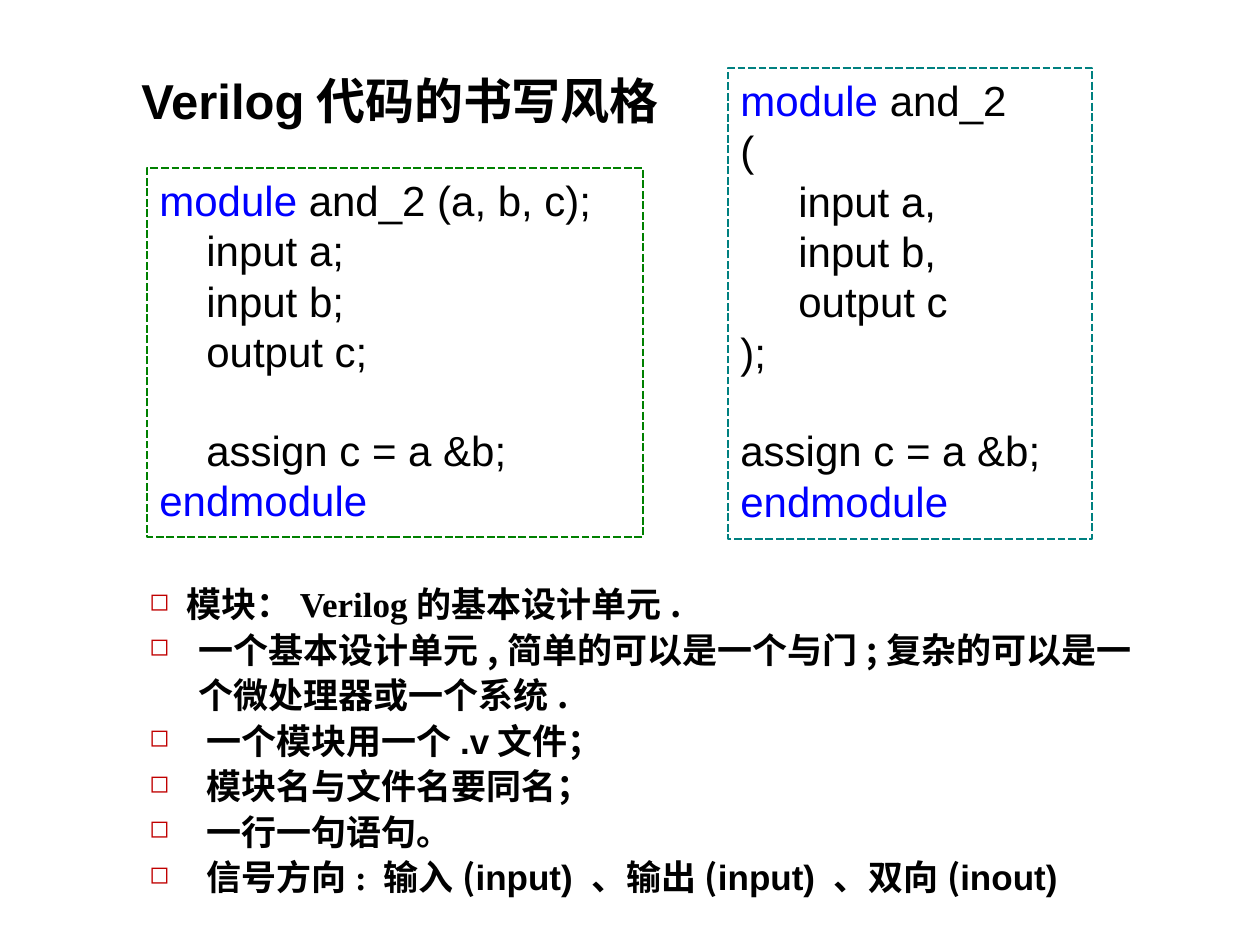
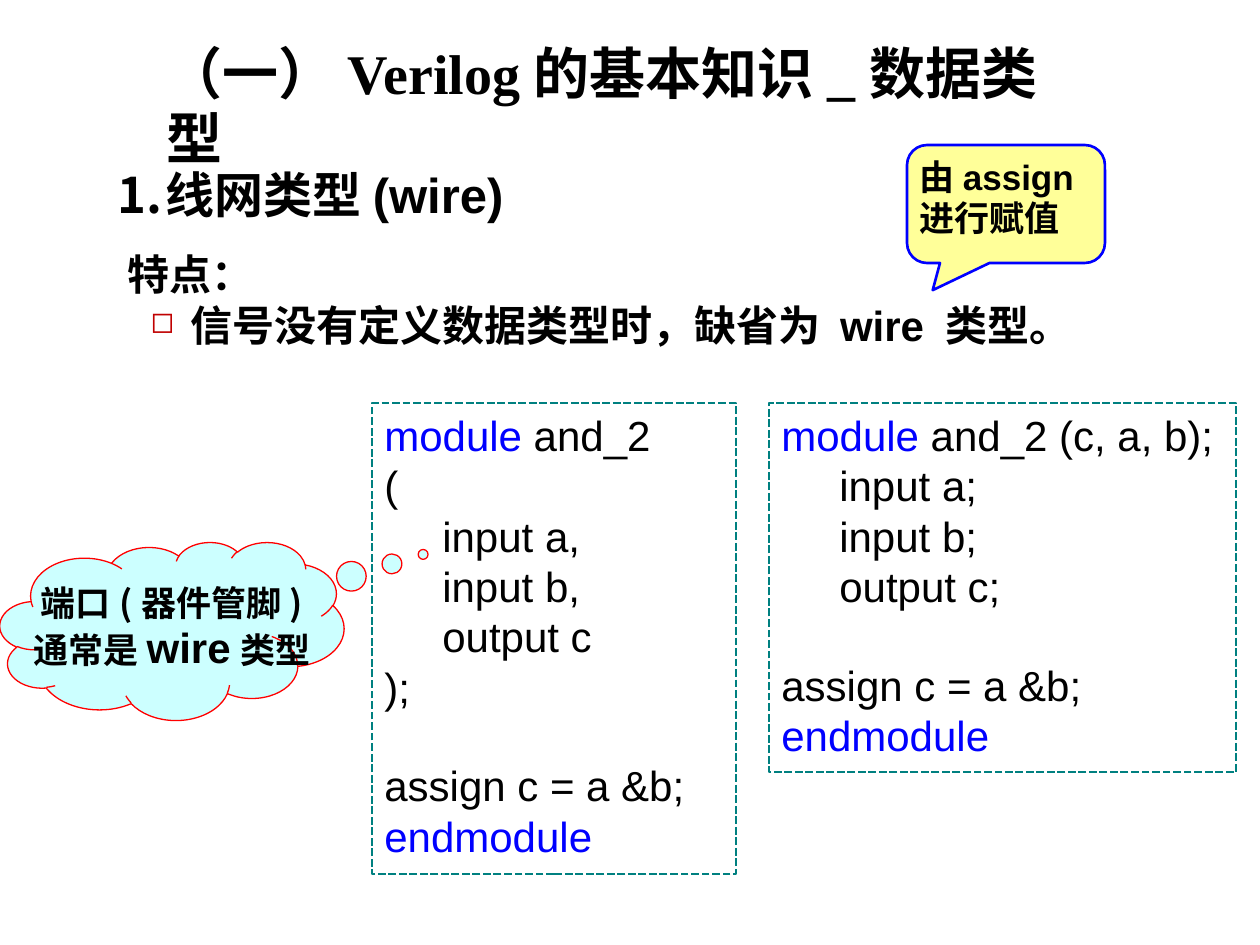
from lxml import etree
from pptx import Presentation
from pptx.dml.color import RGBColor
from pptx.enum.dml import MSO_LINE
from pptx.enum.shapes import MSO_SHAPE as SHAPE
from pptx.enum.text import MSO_ANCHOR as ANCHOR, PP_ALIGN as ALIGN
from pptx.oxml.ns import qn
from pptx.util import Pt

PX = 914400 / 126  # one px in EMU
COLORS = {
    "text": "000000", "keyword": "0000FF", "bullet": "C00000",
    "green": "008000", "teal": "008080", "white": "FFFFFF",
    "cloud": "CCFFFF", "cloud_line": "FF0000",
    "note": "FFFF99", "note_line": "0000FF",
}
SANS, SERIF, CJK = "Arial", "Times New Roman", "Noto Sans CJK SC"


def add_box(slide, kind, box, fill=None, line=None, width=1.5):
    """Add a preset shape, or a text box when kind is None; box is in px."""
    left, top, wide, high = [round(value * PX) for value in box]
    if kind is None:
        shape = slide.shapes.add_textbox(left, top, wide, high)
    else:
        shape = slide.shapes.add_shape(kind, left, top, wide, high)
        shape.shadow.inherit = False
        shape.fill.background()
        if fill:
            shape.fill.solid()
            shape.fill.fore_color.rgb = RGBColor.from_string(COLORS[fill])
        shape.line.color.rgb = RGBColor.from_string(COLORS[line])
        shape.line.width = Pt(width)
    shape.text_frame.word_wrap = True
    shape.text_frame.vertical_anchor = ANCHOR.TOP
    return shape


def write(frame, runs, margin=0, bullet=None, hang=0, **formats):
    """Add a paragraph of (text, size, font, bold, color) runs."""
    paragraph = frame.paragraphs[0]
    if paragraph.runs:
        paragraph = frame.add_paragraph()
    formats = {"alignment": ALIGN.LEFT, **formats}
    for name, value in formats.items():
        setattr(paragraph, name, value)
    properties = paragraph._p.get_or_add_pPr()
    properties.set("marL", str(round(margin * PX)))
    properties.set("indent", str(round(-hang * PX)))
    if bullet == "1.":
        etree.SubElement(properties, qn("a:buAutoNum"), type="arabicPeriod")
    elif bullet:
        color = etree.SubElement(properties, qn("a:buClr"))
        etree.SubElement(color, qn("a:srgbClr"), val=COLORS["bullet"])
        etree.SubElement(properties, qn("a:buSzPct"), val="70000")
        etree.SubElement(properties, qn("a:buChar"), char=bullet)
    for text, size, font, bold, color in runs:
        run = paragraph.add_run()
        run.text = text
        for name, value in {"size": Pt(size), "name": font, "bold": bold}.items():
            setattr(run.font, name, value)
        run.font.color.rgb = RGBColor.from_string(COLORS[color])
        latin = run._r.rPr.find(qn("a:latin"))
        latin.addnext(etree.Element(qn("a:ea"), typeface=CJK))


presentation = Presentation()
presentation.slide_width = round(1260 * PX)
presentation.slide_height = round(945 * PX)
style_slide, wire_slide = [
    presentation.slides.add_slide(presentation.slide_layouts[6]) for _ in range(2)
]

# Code listings: a leading space marks an indented line, "" a gap
ansi_ports = ["module and_2", "(", " input a,", " input b,", " output c", ");",
              "", "assign c = a &b;", "endmodule"]
declarations = [" input a;", " input b;", " output c;", ""]
listings = [
    (style_slide, (147, 168, 496, 369), "white", "green", 47,
     ["module and_2 (a, b, c);", *declarations, " assign c = a &b;", "endmodule"]),
    (style_slide, (728, 68, 364, 471), None, "teal", 58, ansi_ports),
    (wire_slide, (372, 403, 364, 471), None, "teal", 58, ansi_ports),
    (wire_slide, (769, 403, 467, 369), None, "teal", 58,
     ["module and_2 (c, a, b);", *declarations, "assign c = a &b;", "endmodule"]),
]
for slide, box, fill, line, indent, code in listings:
    listing = add_box(slide, SHAPE.RECTANGLE, box, fill, line)
    listing.line.dash_style = MSO_LINE.SQUARE_DOT
    gap = 0
    for code_line in code:
        if not code_line:
            gap = 27.6
            continue
        text = code_line.strip()
        keyword, space, rest = text.partition(" ")
        if keyword in ("module", "endmodule"):
            parts = [(keyword, "keyword"), (space + rest, "text")]
        else:
            parts = [(text, "text")]
        write(listing.text_frame,
              [(part, 24, SANS, False, color) for part, color in parts if part],
              margin=indent if code_line.startswith(" ") else 0,
              space_before=Pt(gap))
        gap = 0

# Cloud and speech callouts
cloud = add_box(wire_slide, SHAPE.CLOUD_CALLOUT, (0, 542, 344, 178),
                "cloud", "cloud_line", 0.75)
note = add_box(wire_slide, SHAPE.ROUNDED_RECTANGULAR_CALLOUT, (907, 145, 198, 118),
               "note", "note_line")
for callout, adjustments in [(cloud, (0.73, -0.43)), (note, (-0.37, 0.73, 0.17))]:
    for index, value in enumerate(adjustments):
        callout.adjustments[index] = value

# Bold texts: slide, box, paragraphs of (line height, size, runs, layout)
square = {"bullet": "◻"}
rules = [
    (37, [("模块", CJK), ("：Verilog", SERIF), ("的基本设计单元.", CJK)]),
    (49, [("一个基本设计单元,简单的可以是一个与门;复杂的可以是一个微处理器或一个系统.", CJK)]),
    (57, [("一个模块用一个", CJK), (".v", SANS), ("文件；", CJK)]),
    (57, [("模块名与文件名要同名；", CJK)]),
    (57, [("一行一句语句。", CJK)]),
    (57, [("信号方向", CJK), (": ", SERIF), ("输入(", CJK), ("input) ", SANS),
          ("、输出(", CJK), ("input) ", SANS), ("、双向(", CJK), ("inout)", SANS)]),
]
texts = [
    (style_slide, (129, 65, 552, 72),
     [(33, 28, [("Verilog", SANS), ("代码的书写风格", CJK)], {})]),
    (style_slide, (137, 573, 1008, 330),
     [(26, 20, runs, {"margin": margin, "hang": margin, **square})
      for margin, runs in rules]),
    (wire_slide, (154, 35, 922, 81),
     [(37, 32, [("（一）Verilog的基本知识_数据类型", SERIF)], {})]),
    (wire_slide, (105, 144, 1062, 229), [
        (42, 28, [("线网类型", CJK), ("(wire)", SANS)],
         {"margin": 48, "hang": 48, "bullet": "1."}),
        (43, 24, [("特点：", CJK)], {"margin": 10}),
        (29, 24, [("信号没有定义数据类型时，缺省为 ", CJK), ("wire ", SANS),
                  ("类型。", CJK)], {"margin": 73, "hang": 40, **square}),
    ]),
    (wire_slide, (10, 568, 324, 106), [
        (28, 20, [("端口(器件管脚)", CJK)], {"alignment": ALIGN.CENTER}),
        (28, 20, [("通常是", CJK), ("wire", SANS, 24), ("类型", CJK)],
         {"alignment": ALIGN.CENTER}),
    ]),
    (wire_slide, (907, 150, 198, 97),
     [(23.5, 20, [("由", CJK), ("assign ", SANS), ("进行赋值", CJK)], {})]),
]
for slide, box, paragraphs in texts:
    frame = add_box(slide, None, box).text_frame
    for height, size, runs, layout in paragraphs:
        styled = [(text, own_size[0] if own_size else size, font, True, "text")
                  for text, font, *own_size in runs]
        write(frame, styled, line_spacing=Pt(height), **layout)

presentation.save("out.pptx")
